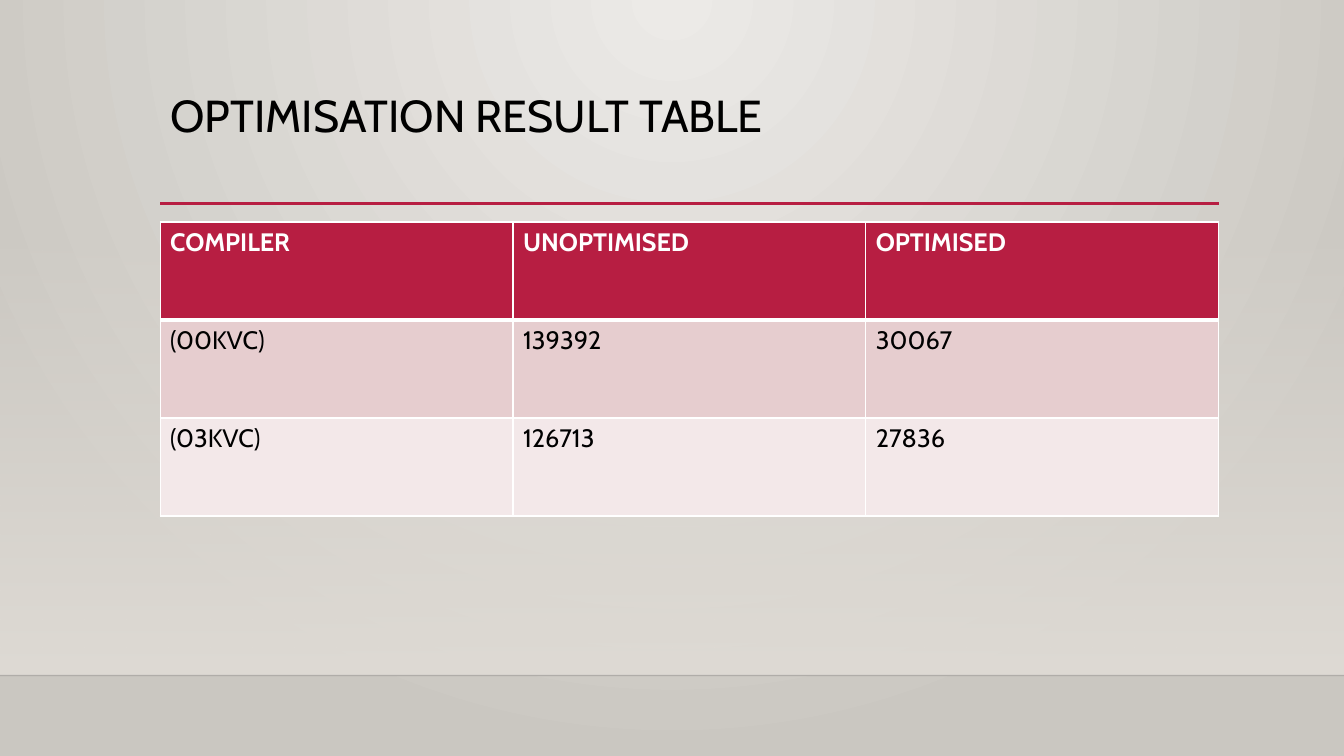
import dataclasses

import pptx
import pptx.dml.color
import pptx.enum.shapes
import pptx.enum.text
import pptx.oxml
import pptx.oxml.ns
import pptx.util

Pt = pptx.util.Pt
qn = pptx.oxml.ns.qn


@dataclasses.dataclass(frozen=True)
class Theme:
    font: str = "Cabin"
    title_size: float = 32
    table_size: float = 18
    text: str = "000000"
    white: str = "FFFFFF"
    accent: str = "B71E42"
    bands: tuple = ("E6CDCF", "F3E8E9")
    back: tuple = ("ECEAE7", "CAC7C1")
    floor: str = "DFDBD5"
    floor_line: str = "000001"


THEME = Theme()
WIDTH, HEIGHT = 960, 540
ROWS = [
    ("COMPILER", "UNOPTIMISED", "OPTIMISED"),
    ("(00KVC)", "139392", "30067"),
    ("(03KVC)", "126713", "27836"),
]


def rgb(color):
    return pptx.dml.color.RGBColor.from_string(color)


def add_child(parent, tag, attributes="", content=""):
    ns = pptx.oxml.ns.nsdecls("a")
    parent.append(pptx.oxml.parse_xml(f"<{tag} {ns} {attributes}>{content}</{tag}>"))


def set_alpha(sp, percent):
    color = sp.element.spPr.find(".//" + qn("a:srgbClr"))
    add_child(color, "a:alpha", f'val="{percent * 1000}"')


def set_gradient(fill, colors):
    fill.gradient()
    for stop, color, position in zip(fill.gradient_stops, colors, (0, 1)):
        stop.color.rgb = rgb(color)
        stop.position = position


def style_text(p, size, color, bold=False):
    p.font.name = THEME.font
    p.font.size = Pt(size)
    p.font.bold = bold
    p.font.color.rgb = rgb(color)


def add_line(slide, left, right, y, color, width):
    line = slide.shapes.add_connector(
        pptx.enum.shapes.MSO_CONNECTOR.STRAIGHT, Pt(left), Pt(y), Pt(right), Pt(y))
    line.line.color.rgb = rgb(color)
    line.line.width = Pt(width)
    add_child(line.element.spPr, "a:effectLst")
    return line


def add_backdrop(slide, left, top, width, height):
    set_gradient(slide.background.fill, THEME.back)
    grad = slide.element.find(".//" + qn("p:bg")).find(".//" + qn("a:gradFill"))
    grad.remove(grad.find(qn("a:lin")))
    add_child(grad, "a:path", 'path="circle"',
              '<a:fillToRect l="43000" t="0" r="43000" b="100000"/>')

    sp = slide.shapes.add_shape(
        pptx.enum.shapes.MSO_SHAPE.RECTANGLE, Pt(left), Pt(top), Pt(width), Pt(height))
    sp.shadow.inherit = False
    sp.line.fill.background()
    set_gradient(sp.fill, (THEME.floor, THEME.floor))
    sp.fill.gradient_angle = 270
    set_alpha(sp, 0)

    edge = add_line(slide, left, left + width, top + height, THEME.floor_line, 1)
    set_alpha(edge, 20)


def add_title(slide, left, top, width, height):
    add_line(slide, left, left + width + 0.5, top + height - 1, THEME.accent, 2.5)
    title = slide.shapes.title
    title.left, title.top, title.width, title.height = map(Pt, (left, top, width, height))
    tf = title.text_frame
    tf.text = "OPTIMISATION RESULT TABLE"
    tf.word_wrap = True
    tf.auto_size = pptx.enum.text.MSO_AUTO_SIZE.NONE
    tf.vertical_anchor = pptx.enum.text.MSO_ANCHOR.TOP
    p = tf.paragraphs[0]
    p.alignment = pptx.enum.text.PP_ALIGN.LEFT
    p.line_spacing = 0.9
    style_text(p, THEME.title_size, THEME.text)


def set_borders(cell, top, bottom):
    tc_pr = cell._tc.get_or_add_tcPr()
    for side, width in (("L", 1), ("R", 1), ("T", top), ("B", bottom)):
        add_child(tc_pr, f"a:ln{side}", f'w="{Pt(width)}"',
                  f'<a:solidFill><a:srgbClr val="{THEME.white}"/></a:solidFill>')


def add_results(slide, left, top, width, height):
    table = slide.shapes.add_table(
        len(ROWS), len(ROWS[0]), Pt(left), Pt(top), Pt(width), Pt(height)).table
    for i, row in enumerate(ROWS):
        header = i == 0
        fill = THEME.accent if header else THEME.bands[(i - 1) % 2]
        for j, value in enumerate(row):
            cell = table.cell(i, j)
            cell.text = value
            style_text(cell.text_frame.paragraphs[0], THEME.table_size,
                       THEME.white if header else THEME.text, header)
            set_borders(cell, 3 if i == 1 else 1, 3 if header else 1)
            cell.fill.solid()
            cell.fill.fore_color.rgb = rgb(fill)


prs = pptx.Presentation()
prs.slide_width, prs.slide_height = Pt(WIDTH), Pt(HEIGHT)
slide = prs.slides.add_slide(prs.slide_layouts[5])
add_backdrop(slide, 0, 159, WIDTH, 323.5)
add_title(slide, 114.5, 63.5, 756, 83)
add_results(slide, 114.4, 158.6, 756, 210)
prs.save("out.pptx")
